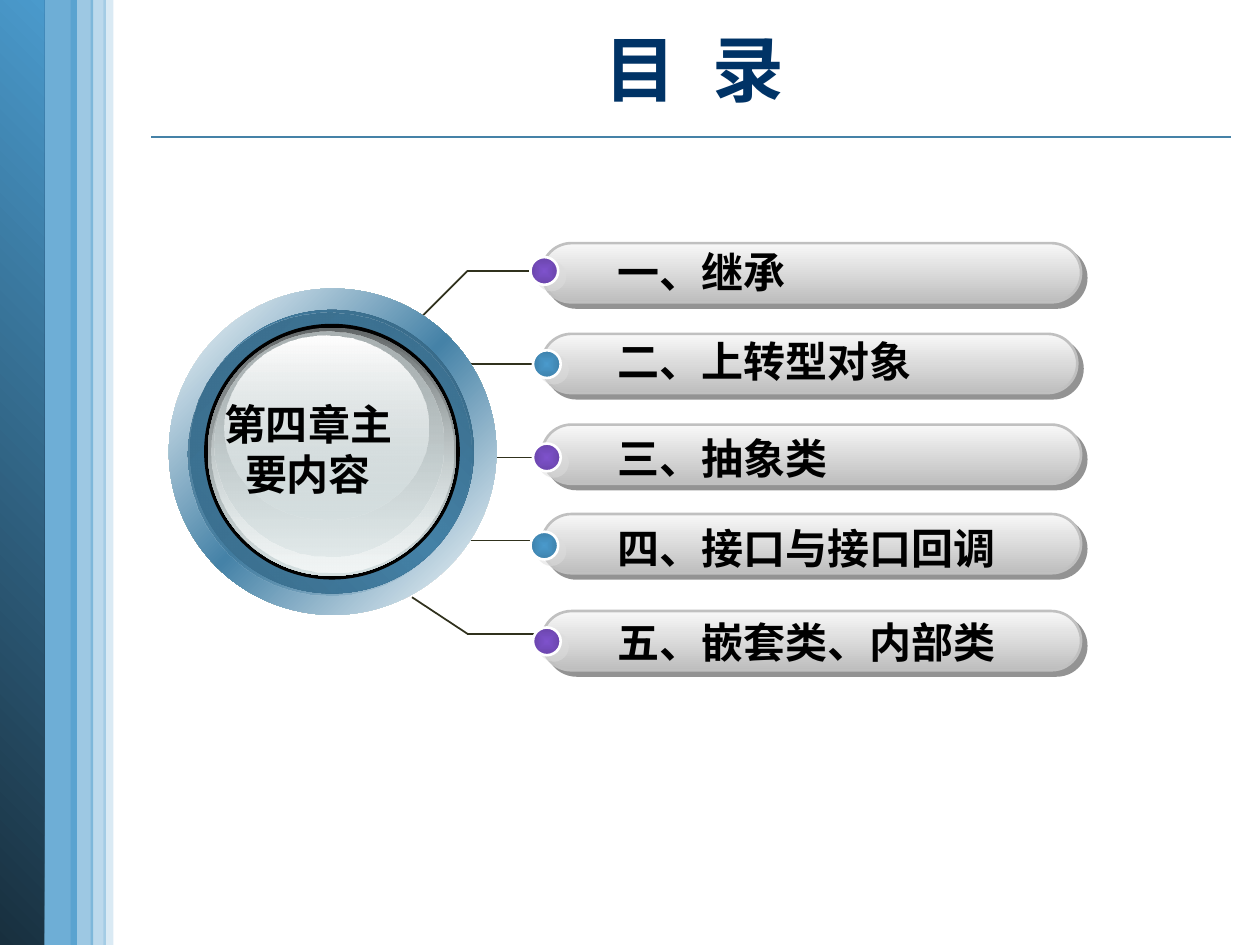
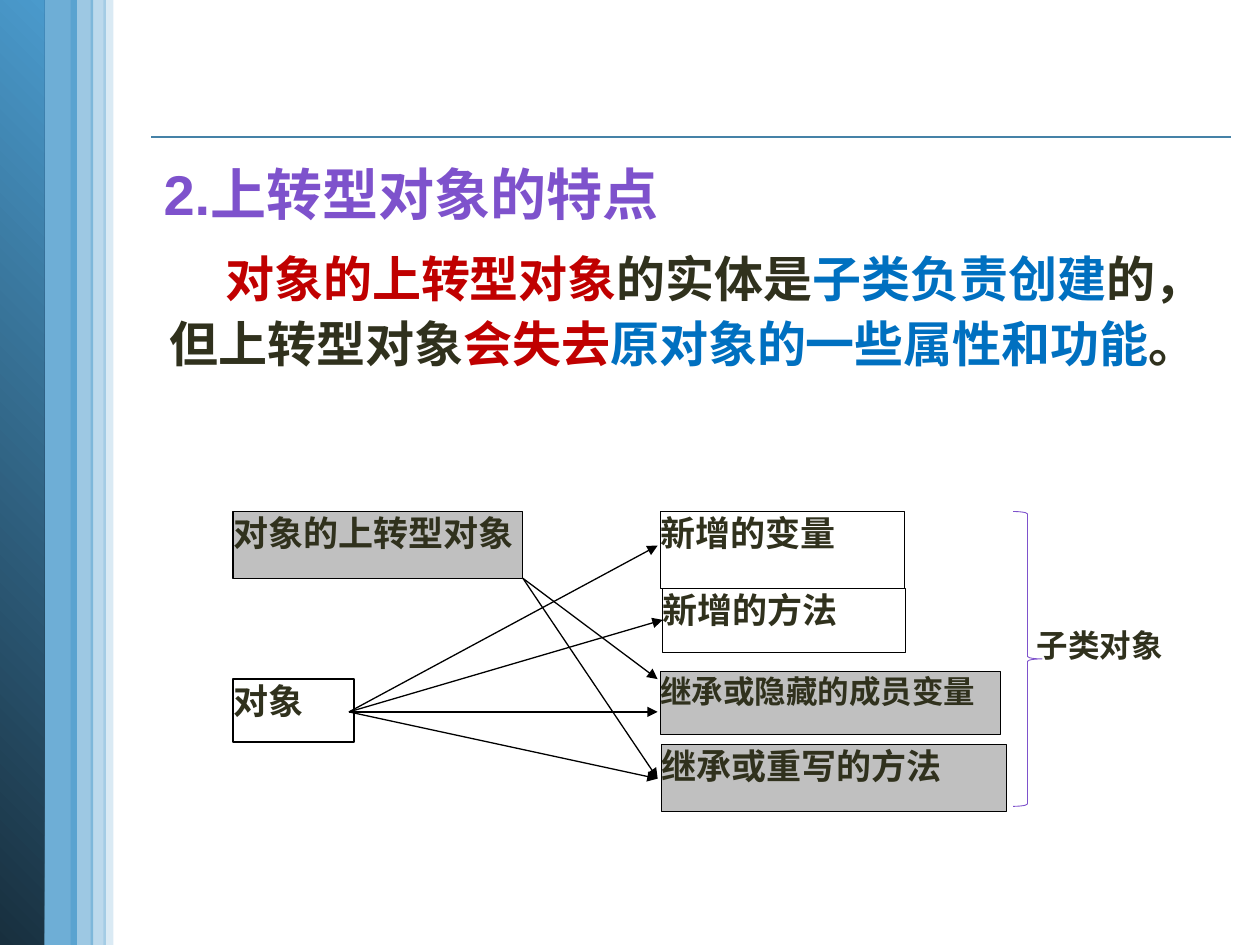
"""Build a contents slide and an object diagram slide sharing one blue band design."""
from lxml.etree import SubElement
from pptx import Presentation
from pptx.dml.color import RGBColor
from pptx.enum.shapes import MSO_CONNECTOR, MSO_SHAPE
from pptx.enum.text import MSO_ANCHOR, MSO_AUTO_SIZE, PP_ALIGN
from pptx.oxml import parse_xml
from pptx.oxml.ns import nsdecls, qn
from pptx.util import Inches, Pt

COLOURS = {
    "sky": "4A9ACC", "sky_dark": "3E81AB", "night": "182F3E", "steel": "4582A7",
    "steel_dark": "356480", "steel_mid": "396B89", "navy": "003366", "ink": "30311D",
    "black": "000000", "white": "FFFFFF", "purple": "7E52CC", "purple_dark": "6A45AB",
    "red": "C00000", "blue": "0070C0", "silver": "C0C0C0", "bar_top": "F8F8F8",
    "bar_bottom": "BEBEBE", "bar_shadow": "292929", "dot_shadow": "DDDDDD",
    "glass": "D6E1E2", "glass_light": "F1F5F5", "glass_mid": "AAB2B3", "glass_dark": "636869",
}

deck = Presentation()
deck.slide_width, deck.slide_height = Inches(10), Inches(7.5)
COLUMN = deck.slide_width / 10
ROW = deck.slide_height / 7.5


def draw(page, kind, frame, stops=(), angle=0, outline=None, shadow=None):
    """Add a preset shape, or a text box if kind is None; stops are (position, colour, alpha)."""
    left, top, width, height = frame
    place = [int(left * COLUMN), int(top * ROW), int(width * COLUMN), int(height * ROW)]
    if kind is None:
        return page.shapes.add_textbox(*place)
    shape = page.shapes.add_shape(kind, *place)
    shape.shadow.inherit = False
    paints = [f'<a:srgbClr val="{COLOURS[name]}"><a:alpha val="{alpha * 1000}"/></a:srgbClr>'
              for position, name, alpha in stops]
    if len(paints) > 1:
        marks = "".join(f'<a:gs pos="{stop[0] * 1000}">{paint}</a:gs>'
                        for stop, paint in zip(stops, paints))
        course = (f'<a:lin ang="{angle * 60000}" scaled="0"/>' if angle is not None else
                  '<a:path path="shape"><a:fillToRect l="50000" t="50000" r="50000" b="50000"/></a:path>')
        shape._element.spPr.find(qn("a:prstGeom")).addnext(parse_xml(
            f'<a:gradFill {nsdecls("a")} rotWithShape="1"><a:gsLst>{marks}</a:gsLst>{course}</a:gradFill>'))
    elif paints:
        shape._element.spPr.find(qn("a:prstGeom")).addnext(parse_xml(
            f'<a:solidFill {nsdecls("a")}>{paints[0]}</a:solidFill>'))
    else:
        shape.fill.background()
    if outline:
        shape.line.color.rgb = RGBColor.from_string(COLOURS[outline[0]])
        shape.line.width = Pt(outline[1])
    else:
        shape.line.fill.background()
    if shadow:
        name, distance, direction = shadow
        shape._element.spPr.find(qn("a:effectLst")).append(parse_xml(
            f'<a:outerShdw {nsdecls("a")} dist="{int(Pt(distance))}" dir="{direction * 60000}" '
            f'algn="ctr" rotWithShape="0"><a:srgbClr val="{COLOURS[name]}">'
            f'<a:alpha val="50000"/></a:srgbClr></a:outerShdw>'))
    return shape


def connect(page, start, end, name, width, arrow=False):
    """Add a straight line, with an arrowhead at its end if asked."""
    line = page.shapes.add_connector(
        MSO_CONNECTOR.STRAIGHT, int(start[0] * COLUMN), int(start[1] * ROW),
        int(end[0] * COLUMN), int(end[1] * ROW))
    line.line.color.rgb = RGBColor.from_string(COLOURS[name])
    line.line.width = Pt(width)
    SubElement(line._element.spPr, qn("a:effectLst"))
    if arrow:
        SubElement(line.line._get_or_add_ln() if hasattr(line.line, "_get_or_add_ln")
                   else line._element.spPr.find(qn("a:ln")), qn("a:tailEnd"), type="triangle")


contents = deck.slides.add_slide(deck.slide_layouts[5])
features = deck.slides.add_slide(deck.slide_layouts[6])

BANDS = [
    (0.3, 0.31, [(0, "sky", 80)]),
    (0, 0.35, [(0, "night", 100), (100, "sky", 100)]),
    (0.82, 0.08, [(0, "sky", 20)]),
    (0.56, 0.18, [(0, "sky", 54)]),
    (0.72, 0.12, [(0, "sky", 37)]),
]
for page in (contents, features):
    connect(page, (1.2, 1.09), (9.77, 1.09), "steel", 1)
    for left, width, stops in BANDS:
        draw(page, MSO_SHAPE.RECTANGLE, (left, 0, width, 7.5), stops, 315)

captions = []
title = contents.shapes.title
title.left, title.top = int(1.16 * COLUMN), int(-0.02 * ROW)
title.width, title.height = int(8.7 * COLUMN), int(1.11 * ROW)
captions.append((title, 41, "Arial", MSO_ANCHOR.MIDDLE, PP_ALIGN.CENTER,
                 [("目", "navy"), (" ", "navy"), ("录", "navy")]))

SPOKES = [
    ((3.64, 2.89), (4.31, 2.89)), ((3.71, 3.63), (4.31, 3.63)), ((3.64, 4.29), (4.31, 4.29)),
    ((3.71, 2.15), (4.31, 2.15)), ((3.34, 2.52), (3.71, 2.15)),
    ((3.71, 5.03), (4.31, 5.03)), ((3.27, 4.74), (3.71, 5.03)),
]
for start, end in SPOKES:
    connect(contents, start, end, "ink", 1)

CHAPTERS = [
    ("一、继承", 1.93, 4.28, 1.91, 4.21, 2.04),
    ("二、上转型对象", 2.65, 4.25, 2.61, 4.23, 2.78),
    ("三、抽象类", 3.37, 4.28, 3.38, 4.23, 3.52),
    ("四、接口与接口回调", 4.08, 4.28, 4.1, 4.21, 4.22),
    ("五、嵌套类、内部类", 4.85, 4.28, 4.84, 4.23, 4.98),
]
for index, (label, bar_top, bar_width, label_top, dot_left, dot_top) in enumerate(CHAPTERS):
    bar = draw(contents, MSO_SHAPE.ROUNDED_RECTANGLE, (4.3, bar_top, bar_width, 0.47),
               [(0, "bar_top", 100), (100, "bar_bottom", 100)], 90,
               ("silver", 1.5), ("bar_shadow", 4.2, 45))
    bar.adjustments[0] = 0.5
    hue = ("purple", "sky")[index % 2]
    draw(contents, MSO_SHAPE.OVAL, (dot_left, dot_top, 0.22, 0.22),
         [(0, hue, 100), (100, hue + "_dark", 100)], None,
         ("white", 1.5), ("dot_shadow", 5, 37))
    captions.append((draw(contents, None, (4.8, label_top, 3.6, 0.5)), 24, "Arial",
                     MSO_ANCHOR.MIDDLE, PP_ALIGN.LEFT, [(label, "black")]))

RINGS = [
    ((1.34, 2.29, 2.6, 2.59), 45, [(0, "white", 100), (50, "steel", 100), (100, "white", 100)]),
    ((1.51, 2.46, 2.25, 2.25), 315,
     [(0, "steel_dark", 100), (50, "steel", 100), (100, "steel_dark", 100)]),
    ((1.49, 2.48, 2.25, 2.25), 45, [(0, "steel_mid", 100), (100, "steel", 0)]),
    ((1.62, 2.57, 2.03, 2.03), 0, [(0, "black", 100)]),
    ((1.65, 2.6, 1.97, 1.97), 90, [(0, "glass_dark", 100), (100, "glass", 100)]),
    ((1.68, 2.62, 1.92, 1.92), 90, [(0, "glass", 0), (100, "glass_light", 100)]),
    ((1.7, 2.63, 1.82, 1.79), 90, [(0, "glass_mid", 100), (100, "glass", 48)]),
    ((1.78, 2.66, 1.62, 1.46), 90, [(0, "white", 100), (100, "glass", 38)]),
]
for frame, angle, stops in RINGS:
    draw(contents, MSO_SHAPE.OVAL, frame, stops, angle)
captions.append((draw(contents, None, (1.63, 3.11, 1.63, 0.91)), 24, "Arial",
                 MSO_ANCHOR.TOP, PP_ALIGN.CENTER, [("第四章主要内容", "black")]))

captions.append((draw(features, None, (1.2, 1.22, 6.6, 0.62)), 32, "Arial",
                 MSO_ANCHOR.TOP, PP_ALIGN.LEFT, [("2.上转型对象的特点", "purple")]))
body = draw(features, None, (1.25, 1.88, 8.09, 1.66))
captions.append((body, 28, "Arial", MSO_ANCHOR.TOP, PP_ALIGN.LEFT, [
    ("对象的上转型对象", "red"), ("的实体是", "ink"), ("子类负责创建", "blue"),
    ("的，但上转型对象", "ink"), ("会失去", "red"), ("原对象的一些属性和功能", "blue"), ("。", "ink")]))

BOXES = [
    ("对象", (1.85, 5.39, 0.96, 0.5), "white", 20),
    ("对象的上转型对象", (1.85, 4.06, 2.3, 0.53), "silver", 20),
    ("继承或隐藏的成员变量", (5.24, 5.33, 2.7, 0.5), "silver", 18),
    ("继承或重写的方法", (5.25, 5.91, 2.74, 0.53), "silver", 20),
    ("新增的变量", (5.24, 4.06, 1.94, 0.61), "white", 20),
    ("新增的方法", (5.26, 4.67, 1.93, 0.51), "white", 20),
]
for label, frame, fill, size in BOXES:
    box = draw(features, MSO_SHAPE.RECTANGLE, frame, [(0, fill, 100)], outline=("black", 0.75))
    text = box.text_frame
    text.margin_left = text.margin_right = text.margin_top = text.margin_bottom = 0
    captions.append((box, size, "Times New Roman", MSO_ANCHOR.TOP, PP_ALIGN.JUSTIFY,
                     [(label, "ink")]))

ARROWS = {
    (4.15, 4.59): [(5.22, 5.39), (5.22, 6.18)],
    (2.77, 5.65): [(5.22, 5.65), (5.22, 6.18), (5.26, 4.92), (5.22, 4.33)],
}
for start, ends in ARROWS.items():
    for end in ends:
        connect(features, start, end, "black", 0.75, arrow=True)
draw(features, MSO_SHAPE.RIGHT_BRACE, (8.04, 4.06, 0.23, 2.34), outline=("purple", 0.5))
captions.append((draw(features, None, (8.13, 4.92, 1.55, 0.51)), 18, "Arial",
                 MSO_ANCHOR.TOP, PP_ALIGN.LEFT, [("子类对象", "ink")]))

for shape, size, font, anchor, alignment, spans in captions:
    text = shape.text_frame
    text.word_wrap = True
    text.auto_size = MSO_AUTO_SIZE.NONE
    text.vertical_anchor = anchor
    para = text.paragraphs[0]
    para.alignment = alignment
    for words, name in spans:
        span = para.add_run()
        span.text = words
        span.font.name = font
        span.font.size = Pt(size)
        span.font.bold = True
        span.font.color.rgb = RGBColor.from_string(COLOURS[name])

title.text_frame.paragraphs[0].runs[1].font._element.set("spc", "1150")
body_para = body.text_frame.paragraphs[0]
body_para.line_spacing = 1.1
body_para._p.get_or_add_pPr().set("indent", str(int(0.44 * COLUMN)))

deck.save("out.pptx")
